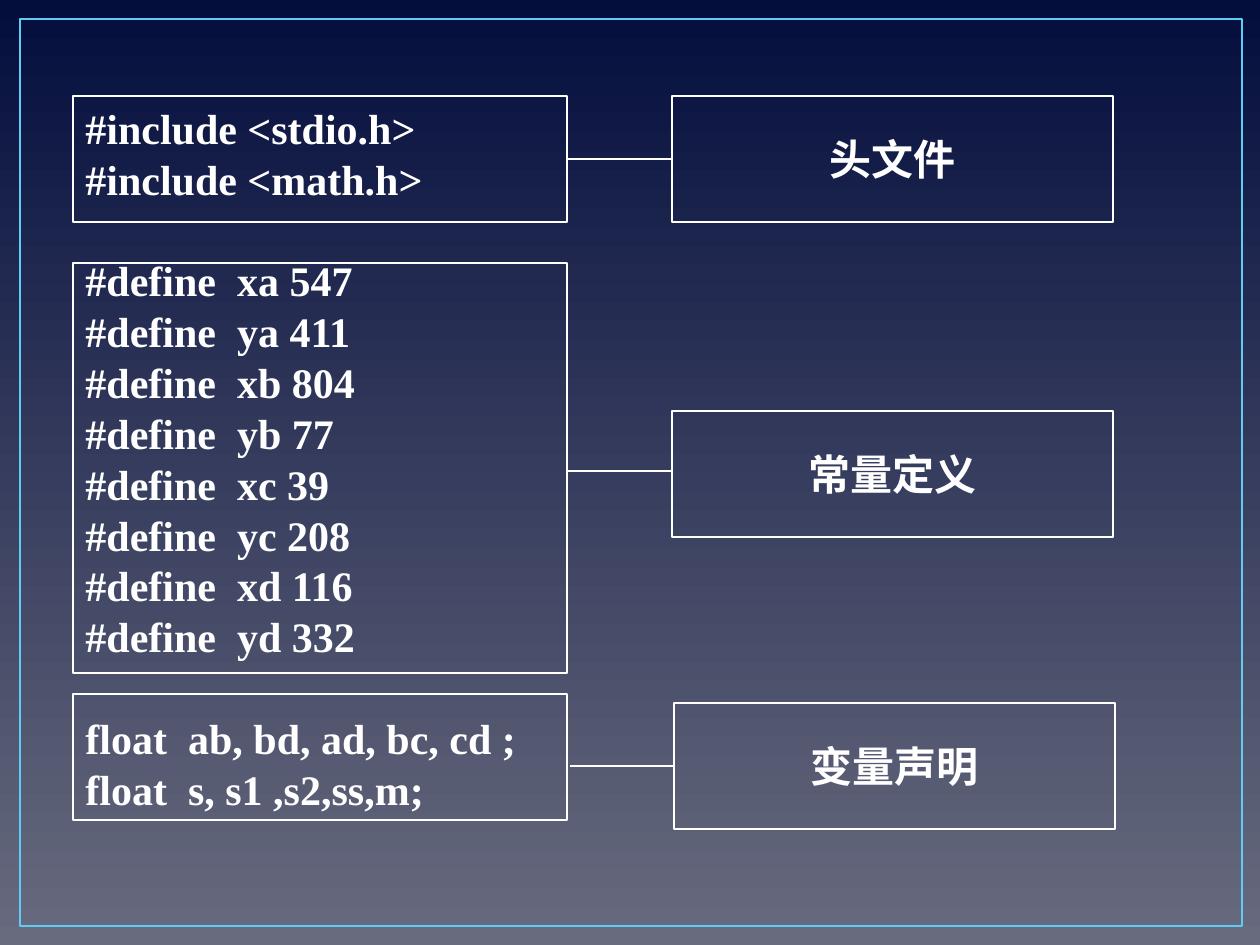
from lxml import etree
from pptx import Presentation
from pptx.dml.color import RGBColor
from pptx.enum.shapes import MSO_CONNECTOR, MSO_SHAPE
from pptx.enum.text import MSO_ANCHOR, PP_ALIGN
from pptx.oxml.ns import qn
from pptx.util import Pt

RECTANGLE = MSO_SHAPE.RECTANGLE
STRAIGHT = MSO_CONNECTOR.STRAIGHT
MIDDLE = MSO_ANCHOR.MIDDLE
CENTER = PP_ALIGN.CENTER
WHITE = RGBColor(0xFF, 0xFF, 0xFF)
SKY = RGBColor(0x5E, 0xCC, 0xF3)
GREY = RGBColor(0x68, 0x6B, 0x7E)
NAVY = RGBColor(0x04, 0x0E, 0x3D)
SCALE = 914400 / 126
LEFT_SIDE, RIGHT_SIDE = 1, 3

CODE_FORMAT = {"name": "Times New Roman", "size": Pt(24), "bold": True}
LABEL_FORMAT = {"name": "Arial", "size": Pt(24), "bold": True}
LINE_GAP, SECTION_GAP = Pt(6), Pt(35)
CODE_LEFT, CODE_WIDTH = 73, 494
LABEL_WIDTH, LABEL_HEIGHT = 441, 126

SECTIONS = [
    {"label": "头文件", "code_top": 96, "code_height": 126,
     "label_left": 672, "label_top": 96, "line": (567, 159),
     "joins_code": True, "joins_label": True,
     "code": ["#include <stdio.h>", "#include <math.h>"]},
    {"label": "常量定义", "code_top": 263, "code_height": 410,
     "label_left": 672, "label_top": 411, "line": (567, 471),
     "joins_code": False, "joins_label": False,
     "code": ["#define  xa 547", "#define  ya 411", "#define  xb 804",
              "#define  yb 77", "#define  xc 39", "#define  yc 208",
              "#define  xd 116", "#define  yd 332"]},
    {"label": "变量声明", "code_top": 694, "code_height": 126,
     "label_left": 674, "label_top": 703, "line": (570, 766),
     "joins_code": False, "joins_label": True,
     "code": ["float  ab, bd, ad, bc, cd ;", "float  s, s1 ,s2,ss,m;"]},
]


def px(*lengths):
    return [round(length * SCALE) for length in lengths]


def add_outline(shapes, bounds, color, width):
    shape = shapes.add_shape(RECTANGLE, *px(*bounds))
    shape.shadow.inherit = False
    shape.fill.background()
    shape.line.color.rgb = color
    shape.line.width = Pt(width)
    return shape


presentation = Presentation()
presentation.slide_width, presentation.slide_height = px(1260, 945)
slide = presentation.slides.add_slide(presentation.slide_layouts[6])

background = slide.background.fill
background.gradient()
background.gradient_angle = 90
for stop, color in zip(background.gradient_stops, (GREY, NAVY)):
    stop.color.rgb = color

add_outline(slide.shapes, (20, 19, 1222, 907), SKY, 1.5)

code_box = slide.shapes.add_textbox(*px(CODE_LEFT, 106, 777, 746))
code_frame = code_box.text_frame
code_frame.word_wrap = True
paragraph = code_frame.paragraphs[0]
for section_index, section in enumerate(SECTIONS):
    for line_index, text in enumerate(section["code"]):
        if section_index or line_index:
            paragraph = code_frame.add_paragraph()
            paragraph.space_before = LINE_GAP if line_index else SECTION_GAP
        paragraph.line_spacing = 0.8
        run = paragraph.add_run()
        run.text = text
        run.font.color.rgb = WHITE
        for attribute, value in CODE_FORMAT.items():
            setattr(run.font, attribute, value)

for section in SECTIONS:
    shapes = slide.shapes.add_group_shape().shapes
    code_outline = add_outline(
        shapes, (CODE_LEFT, section["code_top"], CODE_WIDTH, section["code_height"]), WHITE, 0.75)

    line_left, line_top = section["line"]
    connector = shapes.add_connector(
        STRAIGHT, *px(line_left, line_top, section["label_left"], line_top))
    connector.line.color.rgb = WHITE
    connector.line.width = Pt(0.75)
    etree.SubElement(connector.element.spPr, qn("a:effectLst"))

    label_box = add_outline(
        shapes, (section["label_left"], section["label_top"], LABEL_WIDTH, LABEL_HEIGHT), WHITE, 0.75)
    label_frame = label_box.text_frame
    label_frame.word_wrap = False
    label_frame.vertical_anchor = MIDDLE
    paragraph = label_frame.paragraphs[0]
    paragraph.alignment = CENTER
    run = paragraph.add_run()
    run.text = section["label"]
    run.font.color.rgb = WHITE
    for attribute, value in LABEL_FORMAT.items():
        setattr(run.font, attribute, value)

    if section["joins_code"]:
        connector.begin_connect(code_outline, RIGHT_SIDE)
    if section["joins_label"]:
        connector.end_connect(label_box, LEFT_SIDE)

presentation.save("out.pptx")
